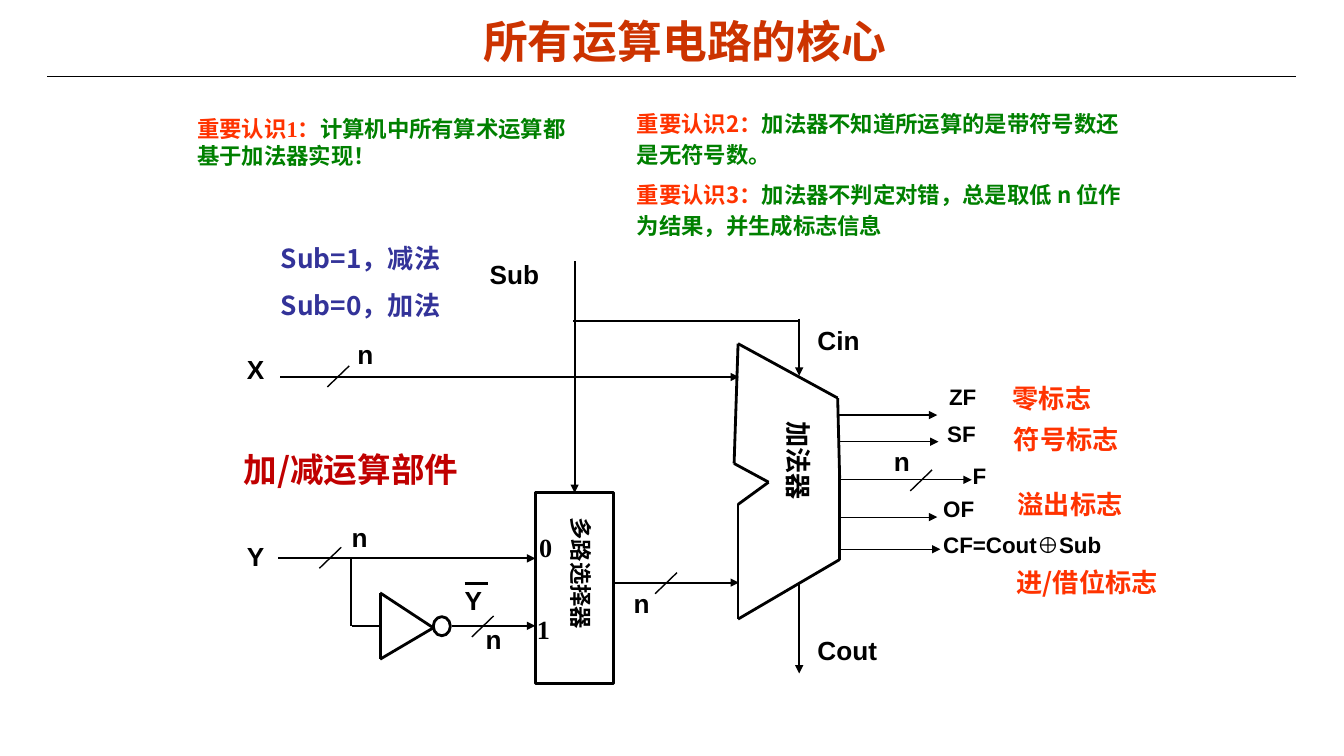
from dataclasses import dataclass
from itertools import pairwise

import pptx
import pptx.dml.color
import pptx.enum.shapes
import pptx.enum.text
import pptx.oxml.ns
import pptx.shapes.autoshape
import pptx.shapes.connector
import pptx.slide
import pptx.util
from lxml import etree
from pptx.util import Cm

RGBColor = pptx.dml.color.RGBColor
BLACK = RGBColor(0x00, 0x00, 0x00)
WHITE = RGBColor(0xFF, 0xFF, 0xFF)
RUST = RGBColor(0xCC, 0x33, 0x00)
RED = RGBColor(0xFF, 0x33, 0x00)
WINE = RGBColor(0xC0, 0x00, 0x00)
GREEN = RGBColor(0x00, 0x80, 0x00)
BLUE = RGBColor(0x33, 0x33, 0x99)

SANS, SERIF, HAN = "Arial", "Times New Roman", "Noto Sans CJK SC"
BIG, SMALL = 18.7, 16

Point = tuple[float, float]
Run = tuple[str, RGBColor]


@dataclass
class Wire:
    start: Point
    end: Point
    width: float = 1.5
    arrow: bool = True


@dataclass
class Label:
    """Text box: place in cm, one list of runs per paragraph."""
    left: float
    top: float
    width: float
    height: float
    lines: list[list[Run]]
    size: float = BIG
    font: str = SANS
    wrap: bool = False
    turn: float = 0
    space: float = 1
    gap: float = 0
    middle: bool = False
    fill: RGBColor | None = None


def tag(name: str) -> str:
    return pptx.oxml.ns.qn(name)


def style(para, size: float, font: str) -> None:
    para.font.size = pptx.util.Pt(size)
    para.font.name = font
    para.font.bold = True
    props = para._p.pPr.find(tag("a:defRPr"))
    etree.SubElement(props, tag("a:ea")).set("typeface", HAN)


def draw_wire(slide: pptx.slide.Slide, wire: Wire) -> pptx.shapes.connector.Connector:
    ends = [Cm(n) for n in (*wire.start, *wire.end)]
    line = slide.shapes.add_connector(pptx.enum.shapes.MSO_CONNECTOR.STRAIGHT, *ends)
    line.line.color.rgb = BLACK
    line.line.width = pptx.util.Pt(wire.width)
    props = line._element.spPr
    if wire.arrow:
        etree.SubElement(props.find(tag("a:ln")), tag("a:tailEnd")).set("type", "triangle")
    etree.SubElement(props, tag("a:effectLst"))
    return line


def draw_loop(slide: pptx.slide.Slide, points: list[Point]) -> None:
    for start, end in pairwise(points + points[:1]):
        draw_wire(slide, Wire(start, end, 2, False))


def draw_shape(slide: pptx.slide.Slide, kind, *place: float) -> pptx.shapes.autoshape.Shape:
    shape = slide.shapes.add_shape(kind, *map(Cm, place))
    shape.shadow.inherit = False
    shape.fill.background()
    shape.line.color.rgb = BLACK
    shape.line.width = pptx.util.Pt(2)
    return shape


def draw_label(slide: pptx.slide.Slide, label: Label) -> None:
    box = slide.shapes.add_textbox(
        Cm(label.left), Cm(label.top), Cm(label.width), Cm(label.height))
    box.rotation = label.turn
    if label.fill is not None:
        box.fill.solid()
        box.fill.fore_color.rgb = label.fill
    frame = box.text_frame
    frame.word_wrap = label.wrap
    frame.auto_size = pptx.enum.text.MSO_AUTO_SIZE.SHAPE_TO_FIT_TEXT
    if label.middle:
        frame.vertical_anchor = pptx.enum.text.MSO_ANCHOR.MIDDLE
    for i, runs in enumerate(label.lines):
        para = frame.add_paragraph() if i else frame.paragraphs[0]
        para.line_spacing = label.space
        if i and label.gap:
            para.space_before = pptx.util.Pt(label.gap)
        style(para, label.size, label.font)
        for text, color in runs:
            run = para.add_run()
            run.text = text
            run.font.color.rgb = color


def sign(text: str, left: float, top: float, width: float,
         size: float = BIG, font: str = SANS) -> Label:
    height = 1.04 if size == BIG else 0.94
    return Label(left, top, width, height, [[(text, BLACK)]], size, font)


def flag(text: str, left: float, top: float, width: float) -> Label:
    return Label(left, top, width, 1.07, [[(text, RED)]], font=HAN, wrap=True, fill=WHITE)


WIRES = [
    Wire((7.06, 9.5), (18.62, 9.5)),  # X
    Wire((7.01, 14.07), (13.49, 14.07)),  # Y
    Wire((8.84, 14.07), (8.84, 15.77), arrow=False),
    Wire((8.86, 15.77), (9.58, 15.77), arrow=False),
    Wire((11.38, 15.77), (13.49, 15.77), 1),
    Wire((11.71, 14.71), (12.29, 14.71), 2.25, False),  # bar over Y
    Wire((15.49, 14.68), (18.62, 14.68)),
    Wire((14.45, 8.08), (20.14, 8.08), arrow=False),
    Wire((20.14, 8.03), (20.14, 9.47)),  # Cin
    Wire((20.14, 14.71), (20.14, 16.97)),  # Cout
    Wire((21.13, 10.46), (23.62, 10.46), 1),  # ZF
    Wire((21.13, 11.13), (23.65, 11.13), 1),  # SF
    Wire((21.18, 12.09), (24.49, 12.09), 1),  # F
    Wire((21.18, 13.03), (23.62, 13.03), 0.75),  # OF
    Wire((21.18, 13.84), (23.7, 13.84), 1),  # CF
]
SLASHES = [(8.25, 9.22), (8.05, 13.79), (11.89, 15.52), (16.51, 14.43), (22.94, 11.84)]
WIDTHS = [(8.76, 8.41), (8.61, 13), (11.99, 15.57), (15.72, 14.68), (22.28, 11.1)]
ADDER = [(18.6, 8.66), (21.11, 10.03), (21.16, 12.04), (21.16, 14.1),
         (18.6, 15.6), (18.6, 12.71), (19.37, 12.15), (18.5, 11.68)]
GATE = [(9.58, 14.94), (9.58, 16.61), (10.92, 15.82)]

LABELS = [
    *(sign("n", left, top, 0.91) for left, top in WIDTHS),
    sign("X", 5.97, 8.79, 0.94),
    sign("Y", 5.97, 13.49, 0.94),
    sign("Y", 11.46, 14.6, 0.94),
    sign("Sub", 12.09, 6.38, 1.75),
    sign("Cin", 20.35, 8.05, 1.57),
    sign("Cout", 20.35, 15.85, 2.03),
    sign("0", 13.34, 13.26, 0.84, font=SERIF),
    sign("1", 13.28, 15.32, 0.84, font=SERIF),
    sign("ZF", 23.67, 9.52, 1.19, SMALL),
    sign("SF", 23.62, 10.46, 1.24, SMALL),
    sign("F", 24.26, 11.53, 0.86, SMALL),
    sign("OF", 23.52, 12.34, 1.3, SMALL),
    sign("CF=Cout⊕Sub", 23.52, 13.26, 5.66, SMALL),
    Label(17.98, 11.99, 4.29, 1.04, [[("加法器", BLACK)]], wrap=True, turn=90),
    Label(12.34, 14.63, 4.62, 0.94, [[("多路选择器", BLACK)]], SMALL, wrap=True, turn=90),
    Label(5.89, 11.18, 7.37, 1.3, [[("加/减运算部件", WINE)]], 24, HAN, True),
    Label(6.83, 5.64, 5.11, 2.51, [[("Sub=1，减法", BLUE)], [("Sub=0，加法", BLUE)]],
          font=HAN, wrap=True, space=1.5, middle=True),
    Label(4.72, 2.77, 9.88, 1.63,
          [[("重要认识1：", RED), ("计算机中所有算术运算都基于加法器实现！", GREEN)]],
          SMALL, SERIF, True),
    Label(15.8, 2.54, 12.83, 3.61,
          [[("重要认识2：", RED), ("加法器不知道所运算的是带符号数还是无符号数。", GREEN)],
           [("重要认识3：", RED),
            ("加法器不判定对错，总是取低 n 位作为结果，并生成标志信息", GREEN)]],
          SMALL, HAN, True, space=1.15, gap=7),
    flag("零标志", 25.27, 9.5, 2.87),
    flag("符号标志", 25.3, 10.54, 3.51),
    flag("溢出标志", 25.4, 12.19, 4.85),
    flag("进/借位标志", 25.37, 14.15, 6.53),
]


def main() -> None:
    deck = pptx.Presentation()
    deck.slide_width, deck.slide_height = Cm(33.87), Cm(19.05)
    slide = deck.slides.add_slide(deck.slide_layouts[5])

    # Title and rule
    title = slide.shapes.title
    title.left, title.top, title.width, title.height = map(Cm, (8.08, 0.3, 18.36, 1.47))
    title.text_frame.text = "所有运算电路的核心"
    title.text_frame.vertical_anchor = pptx.enum.text.MSO_ANCHOR.MIDDLE
    head = title.text_frame.paragraphs[0]
    head.alignment = pptx.enum.text.PP_ALIGN.CENTER
    style(head, 32, SANS)
    head.font.color.rgb = RUST
    draw_wire(slide, Wire((1.19, 1.93), (32.66, 1.93), 0.75, False))

    # Adder, inverter and multiplexer
    draw_loop(slide, ADDER)
    draw_loop(slide, GATE)
    kinds = pptx.enum.shapes.MSO_SHAPE
    draw_shape(slide, kinds.OVAL, 10.92, 15.54, 0.43, 0.48)
    mux = draw_shape(slide, kinds.RECTANGLE, 13.49, 12.42, 1.98, 4.8)

    # Wires and bus slashes
    draw_wire(slide, Wire((14.48, 6.58), (14.48, 12.42))).end_connect(mux, 0)
    for wire in WIRES:
        draw_wire(slide, wire)
    for left, top in SLASHES:
        draw_wire(slide, Wire((left + 0.55, top), (left, top + 0.53), 1, False))

    # Labels and notes
    for label in LABELS:
        draw_label(slide, label)

    deck.save("out.pptx")


if __name__ == "__main__":
    main()
